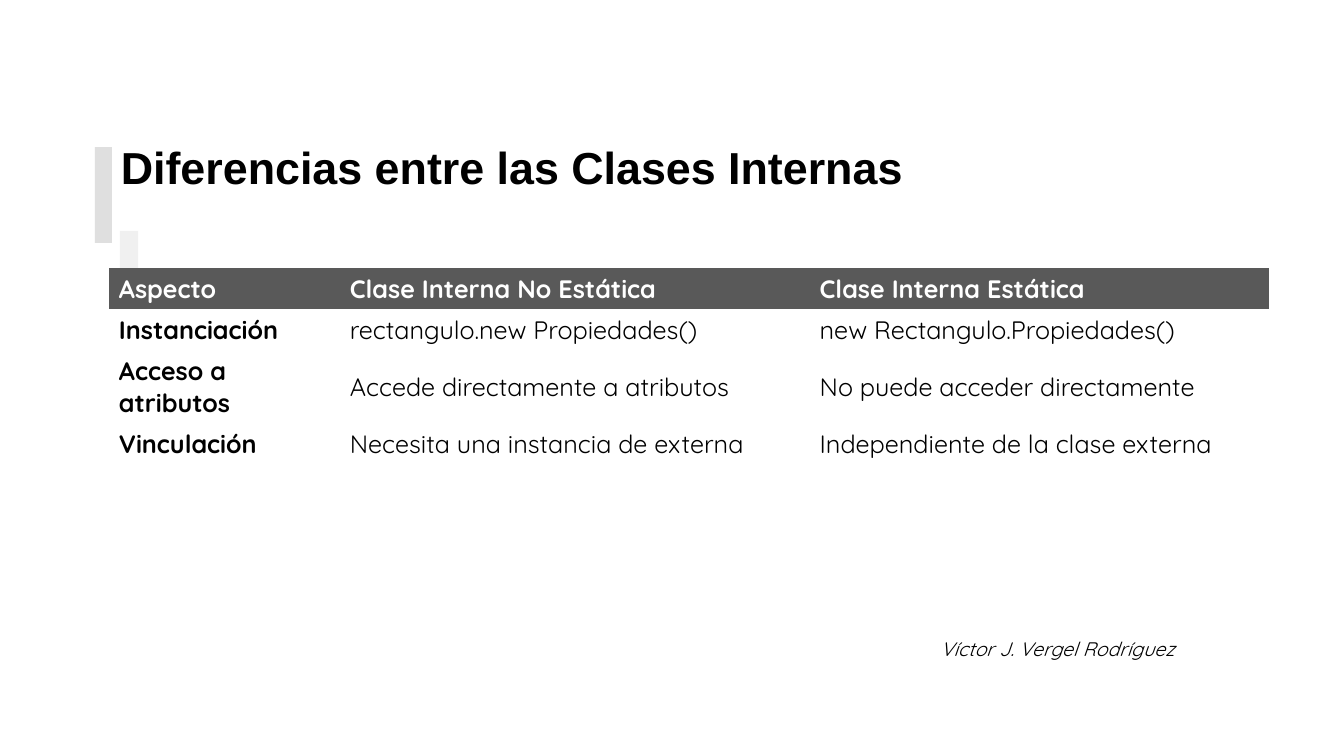
from dataclasses import dataclass

from pptx import Presentation
from pptx.dml.color import RGBColor
from pptx.enum.shapes import MSO_SHAPE as Shape
from pptx.enum.text import MSO_ANCHOR as Anchor, PP_ALIGN as Align
from pptx.oxml.ns import qn
from pptx.util import Inches, Pt


@dataclass(frozen=True)
class Theme:
    ink: str = "000000"
    paper: str = "FFFFFF"
    header: str = "595959"
    bar: str = "DFDFDF"
    bar_light: str = "F0F0F0"
    title_font: str = "Arial"
    body_font: str = "Quicksand"
    title_size: int = 32
    table_size: int = 18
    author_size: int = 14


THEME = Theme()
NO_GRID_STYLE = "{2D5ABB26-0587-4C30-8999-92F81FD0307C}"
COL_WIDTHS = (2.29, 4.66, 4.56)
LINE_HEIGHT, CELL_PADDING = 0.31, 0.1

# Each row: number of text lines, then its cells
ROWS = (
    (1, ("Aspecto", "Clase Interna No Estática", "Clase Interna Estática")),
    (1, ("Instanciación", "rectangulo.new Propiedades()",
         "new Rectangulo.Propiedades()")),
    (2, ("Acceso a atributos", "Accede directamente a atributos",
         "No puede acceder directamente")),
    (1, ("Vinculación", "Necesita una instancia de externa",
         "Independiente de la clase externa")),
)


def box(*lengths):
    return [Inches(n) for n in lengths]


def write(tf, text, color=THEME.ink, align=Align.LEFT, **font):
    p = tf.paragraphs[0]
    p.alignment = align
    r = p.add_run()
    r.text = text
    for name, value in font.items():
        setattr(r.font, name, value)
    r.font.color.rgb = RGBColor.from_string(color)


def add_bar(slide, at, color):
    sp = slide.shapes.add_shape(Shape.RECTANGLE, *box(*at))
    sp.shadow.inherit = False
    sp.fill.solid()
    sp.fill.fore_color.rgb = RGBColor.from_string(color)
    sp.line.fill.background()


def add_text(slide, at, text, frame, **style):
    tf = slide.shapes.add_textbox(*box(*at)).text_frame
    for name, value in {"word_wrap": True, **frame}.items():
        setattr(tf, name, value)
    write(tf, text, **style)


def add_comparison(slide, left, top):
    heights = [lines * LINE_HEIGHT + CELL_PADDING for lines, _ in ROWS]
    frame = slide.shapes.add_table(
        len(ROWS), len(COL_WIDTHS),
        *box(left, top, sum(COL_WIDTHS), sum(heights)))
    table = frame.table
    table.horz_banding = False
    next(frame._element.iter(qn("a:tableStyleId"))).text = NO_GRID_STYLE
    for col, width in zip(table.columns, COL_WIDTHS):
        col.width = Inches(width)
    for i, (_, texts) in enumerate(ROWS):
        table.rows[i].height = Inches(heights[i])
        for j, text in enumerate(texts):
            cell = table.cell(i, j)
            cell.vertical_anchor = Anchor.MIDDLE
            if i == 0:
                cell.fill.solid()
                cell.fill.fore_color.rgb = RGBColor.from_string(THEME.header)
            else:
                cell.fill.background()
            write(cell.text_frame, text,
                  color=THEME.ink if i else THEME.paper,
                  name=THEME.body_font, size=Pt(THEME.table_size),
                  bold=i == 0 or j == 0)


def main():
    prs = Presentation()
    prs.slide_width, prs.slide_height = box(13.33, 7.5)
    slide = prs.slides.add_slide(prs.slide_layouts[6])

    # Accent bars
    add_bar(slide, (0.94, 1.46, 0.17, 0.95), THEME.bar)
    add_bar(slide, (1.19, 2.29, 0.18, 0.65), THEME.bar_light)

    # Author
    add_text(slide, (8.99, 6.27, 2.76, 0.34), "Víctor J. Vergel Rodríguez", {},
             align=Align.RIGHT, name=THEME.body_font,
             size=Pt(THEME.author_size), italic=True)

    # Title
    add_text(slide, (1.1, 1.31, 10.64, 0.74),
             "Diferencias entre las Clases Internas",
             {"vertical_anchor": Anchor.MIDDLE, "margin_top": 0},
             name=THEME.title_font, size=Pt(THEME.title_size), bold=True)

    # Comparison table
    add_comparison(slide, 1.08, 2.66)

    prs.save("out.pptx")


if __name__ == "__main__":
    main()
